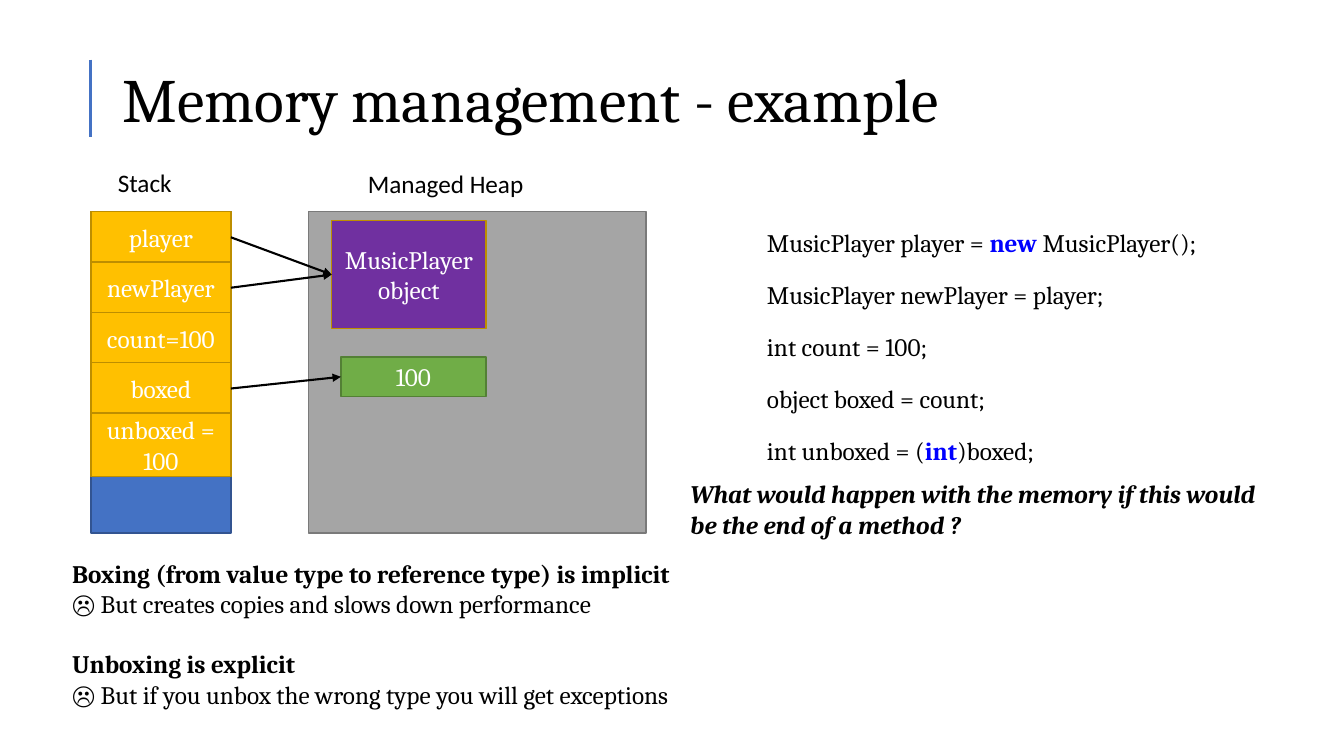
import pptx
import pptx.dml.color
import pptx.enum.shapes
import pptx.enum.text
import pptx.oxml.xmlchemy
import pptx.util
from pptx.util import Cm, Pt

BLACK, WHITE, KEYWORD = "000000", "FFFFFF", "0000FF"
BLUE, GOLD, GOLD_EDGE = "4472C4", "FFC000", "BD8E00"
STACK_X, STACK_W, TOP, DEPTH = 2.29, 3.53, 5.33, 8.1
CELL_PITCH, CODE_PITCH = 1.27, 1.31


def rgb(hex_color):
    """Turn a hex string into a colour."""
    return pptx.dml.color.RGBColor.from_string(hex_color)


def style(p, size=18, font="Cambria", color=BLACK, bold=None, italic=None):
    """Set the font of a paragraph."""
    f = p.font
    f.size, f.name, f.bold, f.italic = Pt(size), font, bold, italic
    f.color.rgb = rgb(color)


def set_title(s, text):
    """Place and format the slide title."""
    sp = s.shapes.title
    sp.left, sp.top, sp.width, sp.height = Cm(2.84), Cm(1.24), Cm(27), Cm(2.67)
    tf = sp.text_frame
    tf.text = text
    tf.auto_size = pptx.enum.text.MSO_AUTO_SIZE.NONE
    tf.vertical_anchor = pptx.enum.text.MSO_ANCHOR.MIDDLE
    p = tf.paragraphs[0]
    p.alignment = pptx.enum.text.PP_ALIGN.LEFT
    p.line_spacing = 0.9
    style(p, 44)


def add_box(s, x, y, w, h, fill, edge, text=""):
    """Add a rectangle with centred white text."""
    sp = s.shapes.add_shape(pptx.enum.shapes.MSO_SHAPE.RECTANGLE,
                            Cm(x), Cm(y), Cm(w), Cm(h))
    sp.shadow.inherit = False
    sp.fill.solid()
    sp.fill.fore_color.rgb = rgb(fill)
    sp.line.color.rgb = rgb(edge)
    sp.line.width = Pt(1)
    if text:
        tf = sp.text_frame
        tf.text = text
        tf.vertical_anchor = pptx.enum.text.MSO_ANCHOR.MIDDLE
        p = tf.paragraphs[0]
        p.alignment = pptx.enum.text.PP_ALIGN.CENTER
        style(p, color=WHITE)
    return sp


def add_text(s, x, y, w, h, lines, **font):
    """Add a text box with one paragraph per line and return its paragraphs."""
    tf = s.shapes.add_textbox(Cm(x), Cm(y), Cm(w), Cm(h)).text_frame
    tf.word_wrap = True
    tf.text = "\n".join(lines)
    for p in tf.paragraphs:
        style(p, **font)
    return tf.paragraphs


def add_code(s, x, y, before, keyword="", after=""):
    """Add a line of code with an optional highlighted keyword."""
    p = add_text(s, x, y, 13.2, 1.02, [before])[0]
    if keyword:
        r = p.add_run()
        r.text = keyword
        r.font.bold = True
        r.font.color.rgb = rgb(KEYWORD)
        p.add_run().text = after


def add_line(s, x1, y1, x2, y2, color, width):
    """Add a straight line without a shadow."""
    c = s.shapes.add_connector(pptx.enum.shapes.MSO_CONNECTOR.STRAIGHT,
                               Cm(x1), Cm(y1), Cm(x2), Cm(y2))
    c.line.color.rgb = rgb(color)
    c.line.width = Pt(width)
    c._element.spPr.append(pptx.oxml.xmlchemy.OxmlElement("a:effectLst"))
    return c


def add_reference(s, cell, target):
    """Join the right of a stack cell to the left of a heap object."""
    c = add_line(s, 0, 0, 0, 0, BLACK, 1.5)
    c.begin_connect(cell, 3)
    c.end_connect(target, 1)
    tail = pptx.oxml.xmlchemy.OxmlElement("a:tailEnd")
    tail.set("type", "triangle")
    c.line._get_or_add_ln().append(tail)


def add_memory(s):
    """Draw the stack, the heap and the references between them."""
    add_text(s, 2.72, 4.09, 2.41, 1.02, ["Stack"], font="Calibri")
    add_text(s, 9.02, 4.11, 5.26, 1.02, ["Managed Heap"], font="Calibri")
    add_box(s, STACK_X, TOP, STACK_W, DEPTH, BLUE, "325491")
    add_box(s, 7.77, TOP, 8.51, DEPTH, "A5A5A5", "7A7A7A")

    cells = {}
    names = ["player", "newPlayer", "count=100", "boxed", "unboxed = 100"]
    for i, name in enumerate(names):
        height = 1.6 if name == names[-1] else 1.3
        cells[name] = add_box(s, STACK_X, TOP + i * CELL_PITCH, STACK_W,
                              height, GOLD, GOLD_EDGE, name)

    music = add_box(s, 8.36, 5.56, 3.89, 2.72, "7030A0", GOLD_EDGE,
                    "MusicPlayer object")
    boxed = add_box(s, 8.59, 9, 3.66, 0.99, "70AD47", "538035", "100")
    for name, target in [("player", music), ("newPlayer", music),
                         ("boxed", boxed)]:
        add_reference(s, cells[name], target)


def main():
    """Build the slide and save it."""
    prs = pptx.Presentation()
    prs.slide_width, prs.slide_height = Cm(33.87), Cm(19.05)
    s = prs.slides.add_slide(prs.slide_layouts[5])
    set_title(s, "Memory management - example")
    add_line(s, 2.29, 1.5, 2.29, 3.45, BLUE, 2.25)
    add_memory(s)

    code = [("MusicPlayer player = ", "new ", "MusicPlayer();"),
            ("MusicPlayer newPlayer = player;",),
            ("int count = 100;",),
            ("object boxed = count;",),
            ("int unboxed = (", "int", ")boxed;")]
    for i, parts in enumerate(code):
        add_code(s, 19.08, 5.6 + i * CODE_PITCH, *parts)

    add_text(s, 17.15, 11.94, 14.86, 1.8,
             ["What would happen with the memory if this would be the end "
              "of a method ?"], bold=True, italic=True)
    remarks = add_text(s, 1.57, 13.94, 31.9, 4.11, [
        "Boxing (from value type to reference type) is implicit",
        "\u2639 But creates copies and slows down performance",
        "Unboxing is explicit",
        "\u2639 But if you unbox the wrong type you will get exceptions"])
    for heading in remarks[::2]:
        heading.font.bold = True
    remarks[2].space_before = Pt(21.5)
    prs.save("out.pptx")


main()
